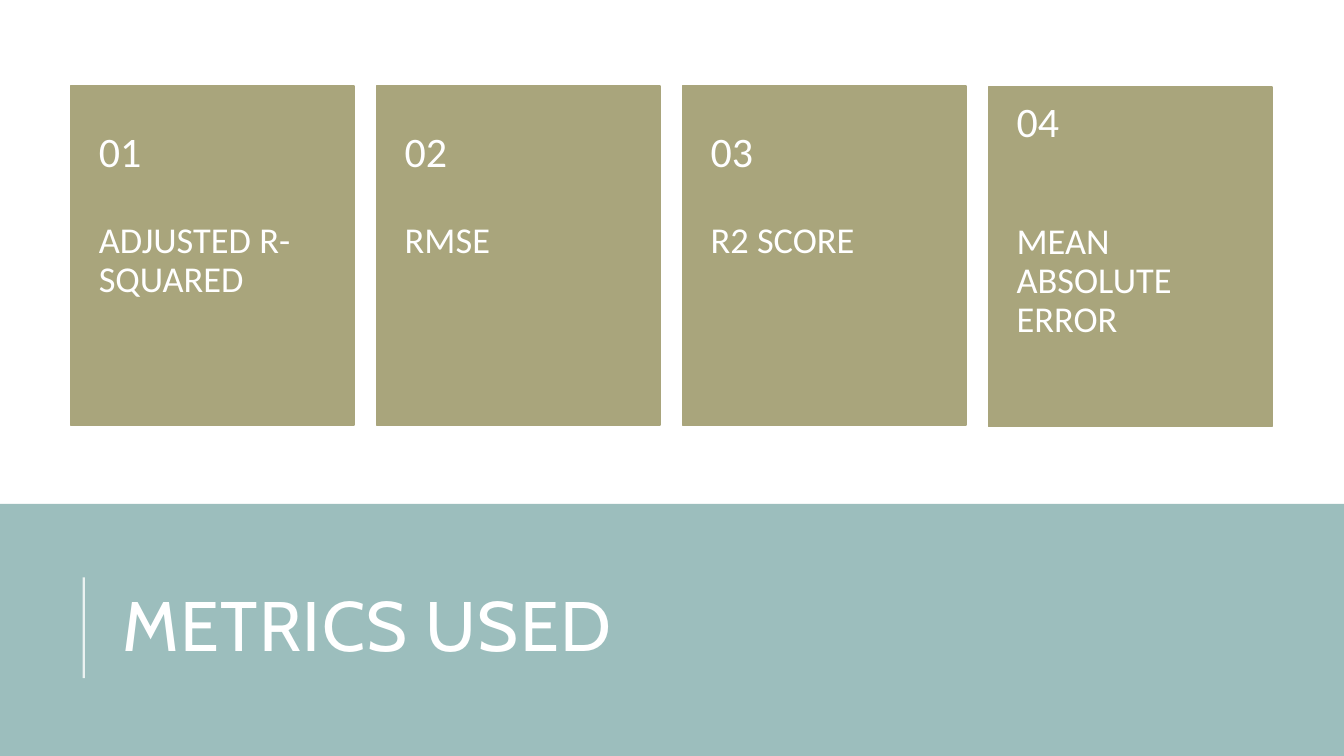
from dataclasses import dataclass

from lxml.etree import SubElement
from pptx import Presentation
from pptx.dml.color import RGBColor
from pptx.enum.shapes import MSO_CONNECTOR, MSO_SHAPE
from pptx.enum.text import MSO_ANCHOR, MSO_AUTO_SIZE, PP_ALIGN
from pptx.oxml.ns import qn
from pptx.shapes.autoshape import Shape
from pptx.slide import Slide
from pptx.util import Cm, Pt

COLORS = {"band": "9CBEBD", "card": "A9A57C", "white": "FFFFFF"}
PAGE_WIDTH, PAGE_HEIGHT = 33.87, 19.05
BAND_TOP = 12.7
CARD_LEFT, CARD_TOP, CARD_PITCH = 1.78, 2.16, 7.71
CARD_WIDTH, CARD_HEIGHT, NUMBER_HEIGHT = 7.14, 8.56, 3.43
SIDE_INSET = 0.71


@dataclass
class Metric:
    number: str
    name: str
    drop: float = 0
    number_anchor: MSO_ANCHOR = MSO_ANCHOR.MIDDLE
    number_inset: float = 0.46


METRICS = [
    Metric("01", "ADJUSTED R-SQUARED"),
    Metric("02", "RMSE"),
    Metric("03", "R2 SCORE"),
    Metric("04", "MEAN ABSOLUTE ERROR", 0.03, MSO_ANCHOR.TOP, 0.38),
]


def color(name: str) -> RGBColor:
    return RGBColor.from_string(COLORS[name])


def add_rectangle(page: Slide, left: float, top: float, width: float,
                  height: float, fill: str) -> Shape:
    box = page.shapes.add_shape(MSO_SHAPE.RECTANGLE, Cm(left), Cm(top),
                                Cm(width), Cm(height))
    box.shadow.inherit = False
    box.fill.solid()
    box.fill.fore_color.rgb = color(fill)
    box.line.fill.background()
    return box


def write_text(box: Shape, text: str, size: float, font: str,
               line_spacing: float, anchor: MSO_ANCHOR) -> None:
    frame = box.text_frame
    frame.text = text
    frame.word_wrap = True
    frame.auto_size = MSO_AUTO_SIZE.NONE
    frame.vertical_anchor = anchor
    paragraph = frame.paragraphs[0]
    paragraph.alignment = PP_ALIGN.LEFT
    paragraph.line_spacing = line_spacing
    for span in paragraph.runs:
        span.font.size = Pt(size)
        span.font.name = font
        span.font.color.rgb = color("white")


def add_card_text(page: Slide, left: float, top: float, height: float, text: str,
                  size: float, anchor: MSO_ANCHOR, insets: tuple[float, float]) -> None:
    """Add text as wide as a card; insets are the top and bottom margins."""
    box = page.shapes.add_textbox(Cm(left), Cm(top), Cm(CARD_WIDTH), Cm(height))
    write_text(box, text, size, "Calibri", 0.9, anchor)
    frame = box.text_frame
    frame.margin_left = frame.margin_right = Cm(SIDE_INSET)
    frame.margin_top, frame.margin_bottom = (Cm(inset) for inset in insets)


def add_metric_card(page: Slide, metric: Metric, left: float) -> None:
    top = CARD_TOP + metric.drop
    card = add_rectangle(page, left, top, CARD_WIDTH, CARD_HEIGHT, "card")
    card.line.color.rgb = color("card")
    card.line.width = Pt(1.25)
    add_card_text(page, left, top + NUMBER_HEIGHT, CARD_HEIGHT - NUMBER_HEIGHT,
                  metric.name, 26, MSO_ANCHOR.TOP, (0, 0.91))
    add_card_text(page, left, CARD_TOP, NUMBER_HEIGHT, metric.number, 30,
                  metric.number_anchor, (metric.number_inset, 0.46))


def add_title(page: Slide) -> None:
    title = page.shapes.title
    title.left, title.top = Cm(2.84), Cm(13.82)
    title.width, title.height = Cm(27), Cm(4.17)
    write_text(title, "METRICS USED", 50, "Cabin", 0.8, MSO_ANCHOR.MIDDLE)
    for span in title.text_frame.paragraphs[0].runs:
        span.font._element.set("spc", "100")


def add_title_rule(page: Slide) -> None:
    rule = page.shapes.add_connector(MSO_CONNECTOR.STRAIGHT, Cm(2.11), Cm(17.09),
                                     Cm(2.11), Cm(14.55))
    rule.line.color.rgb = color("white")
    rule.line.width = Pt(1.5)
    properties = rule._element.spPr
    SubElement(properties.find(".//" + qn("a:srgbClr")), qn("a:alpha"), val="80000")
    SubElement(properties, qn("a:effectLst"))


def main() -> None:
    deck = Presentation()
    deck.slide_width, deck.slide_height = Cm(PAGE_WIDTH), Cm(PAGE_HEIGHT)
    page = deck.slides.add_slide(deck.slide_layouts[5])
    band = add_rectangle(page, 0, BAND_TOP, PAGE_WIDTH, PAGE_HEIGHT - BAND_TOP, "band")
    page.shapes.title._element.addprevious(band._element)
    add_title(page)
    add_title_rule(page)
    for index, metric in enumerate(METRICS):
        add_metric_card(page, metric, CARD_LEFT + index * CARD_PITCH)
    deck.save("out.pptx")


if __name__ == "__main__":
    main()
